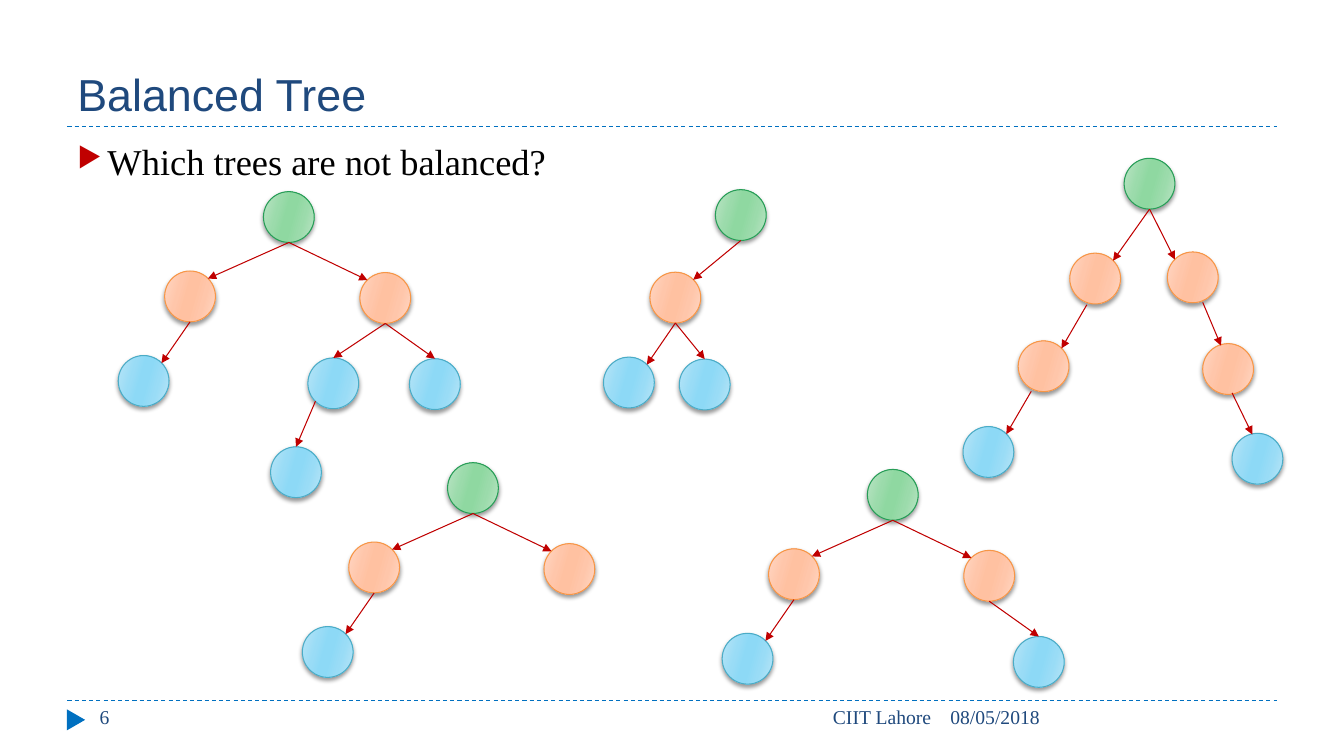
import dataclasses
import typing

import pptx
import pptx.dml.color
import pptx.enum.dml
import pptx.enum.shapes
import pptx.enum.text
import pptx.oxml
import pptx.oxml.ns
import pptx.shapes.autoshape
import pptx.shapes.connector
import pptx.slide
import pptx.util

Cm = pptx.util.Cm
Pt = pptx.util.Pt
Rgb = pptx.dml.color.RGBColor
Align = pptx.enum.text.PP_ALIGN
Anchor = pptx.enum.text.MSO_ANCHOR
Preset = pptx.enum.shapes.MSO_SHAPE
qn = pptx.oxml.ns.qn


class Tint(typing.NamedTuple):
    edge: str
    mid: str
    core: str
    line: str


@dataclasses.dataclass(frozen=True)
class Theme:
    root: Tint = Tint("BBE4C5", "9BDBAB", "8FD8A1", "279D57")
    inner: Tint = Tint("FFD7C5", "FFC6AA", "FFC1A1", "F79646")
    leaf: Tint = Tint("B9E5F7", "99DCF6", "8DD9F6", "4BACC6")
    navy: str = "1F497D"
    blue: str = "0070C0"
    red: str = "C00000"
    black: str = "000000"
    sans: str = "Arial"
    serif: str = "Times New Roman"
    title: float = 32
    body: float = 26
    foot: float = 14
    thin: float = 0.75


THEME = Theme()
SIZE = 1.28  # node width in cm


class Point(typing.NamedTuple):
    x: float
    y: float

    def shift(self, by: "Point") -> "Point":
        return Point(self.x + by.x, self.y + by.y)


# Arrow ends, measured from a node's top left corner
TOP = Point(SIZE / 2, 0)
BASE = Point(SIZE / 2, SIZE)
NEAR, FAR = 0.19, 1.09
TOP_LEFT = Point(NEAR, NEAR)
TOP_RIGHT = Point(FAR, NEAR)
LOW_LEFT = Point(NEAR, FAR)


class Node(typing.NamedTuple):
    """A child, placed from the root; parent is an index in the tree, 0 the root."""
    tint: Tint
    at: Point
    parent: int
    into: Point
    out: Point = BASE


class Tree(typing.NamedTuple):
    root: Point
    nodes: tuple[Node, ...]


INNER, LEAF = THEME.inner, THEME.leaf
CORE = (
    Node(INNER, Point(-2.49, 2), 0, TOP_RIGHT),
    Node(INNER, Point(2.43, 2.04), 0, TOP_LEFT),
    Node(LEAF, Point(-3.66, 4.13), 1, TOP_RIGHT),
)
RIGHT_LEAF = Node(LEAF, Point(3.68, 4.21), 2, TOP)

TREES = (
    Tree(Point(6.64, 4.83), CORE + (
        RIGHT_LEAF,
        Node(LEAF, Point(1.12, 4.19), 2, TOP),
        Node(LEAF, Point(0.18, 6.43), 5, TOP, LOW_LEFT),
    )),
    Tree(Point(18.03, 4.78), (
        Node(INNER, Point(-1.65, 2.08), 0, TOP_RIGHT),
        Node(LEAF, Point(-2.82, 4.22), 1, TOP_RIGHT),
        Node(LEAF, Point(-0.91, 4.27), 1, TOP),
    )),
    Tree(Point(21.86, 11.83), CORE + (RIGHT_LEAF,)),
    Tree(Point(11.28, 11.66), CORE),
    Tree(Point(28.33, 3.99), (
        Node(INNER, Point(-1.37, 2.39), 0, TOP_RIGHT),
        Node(INNER, Point(1.09, 2.36), 0, TOP_LEFT),
        Node(INNER, Point(-2.67, 4.6), 1, TOP_RIGHT, Point(0.43, 1.3)),
        Node(LEAF, Point(-4.06, 6.76), 3, TOP_RIGHT, Point(0.33, 1.27)),
        Node(INNER, Point(1.98, 4.67), 2, Point(0.46, 0.05), Point(0.89, 1.27)),
        Node(LEAF, Point(2.72, 6.93), 5, Point(0.51, 0.03), Point(0.74, 1.24)),
    )),
)


class Label(typing.NamedTuple):
    text: str
    box: tuple[float, float, float, float]
    size: float
    font: str = THEME.serif
    color: str = THEME.navy
    align: Align = Align.LEFT
    anchor: Anchor = Anchor.TOP
    bullet: bool = False


FOOT_TOP, FOOT_HIGH = 17.65, 1.02
LABELS = (
    Label("Balanced Tree", (1.7, 0.43, 30.48, 2.74), THEME.title, THEME.sans,
          anchor=Anchor.BOTTOM),
    Label("Which trees are not balanced?", (1.7, 3.38, 30.48, 13.72), THEME.body,
          color=THEME.black, bullet=True),
    Label("6", (2.26, FOOT_TOP, 7.34, FOOT_HIGH), THEME.foot),
    Label("CIIT Lahore", (10.74, FOOT_TOP, 12.98, FOOT_HIGH), THEME.foot,
          align=Align.RIGHT),
    Label("08/05/2018", (23.7, FOOT_TOP, 8.48, FOOT_HIGH), THEME.foot),
)


def make_xml(text: str):
    """Build an element from XML whose root tag ends in a {ns} mark."""
    return pptx.oxml.parse_xml(text.replace("{ns}", pptx.oxml.ns.nsdecls("a"), 1))


def add_label(slide: pptx.slide.Slide, label: Label) -> None:
    frame = slide.shapes.add_textbox(*map(Cm, label.box)).text_frame
    frame.word_wrap = True
    frame.vertical_anchor = label.anchor
    frame.text = label.text
    para = frame.paragraphs[0]
    para.alignment = label.align
    font = para.runs[0].font
    font.name, font.size = label.font, Pt(label.size)
    font.color.rgb = Rgb.from_string(label.color)
    if label.bullet:
        para.space_before = Pt(6)
        props = para._p.get_or_add_pPr()
        props.set("marL", str(Cm(0.76)))
        props.set("indent", str(Cm(-0.76)))
        for mark in (f'<a:buClr {{ns}}><a:srgbClr val="{THEME.red}"/></a:buClr>',
                     '<a:buSzPct {ns} val="76000"/>',
                     '<a:buChar {ns} char="▶"/>'):
            props.append(make_xml(mark))


def add_line(slide: pptx.slide.Slide, start: Point, end: Point,
             color: str) -> pptx.shapes.connector.Connector:
    line = slide.shapes.add_connector(
        pptx.enum.shapes.MSO_CONNECTOR.STRAIGHT, *map(Cm, start + end))
    line.line.color.rgb = Rgb.from_string(color)
    line.line.width = Pt(THEME.thin)
    line._element.spPr.append(make_xml("<a:effectLst {ns}/>"))
    return line


def add_node(slide: pptx.slide.Slide, at: Point, tint: Tint) -> None:
    node = slide.shapes.add_shape(Preset.OVAL, *map(Cm, (*at, SIZE, SIZE)))
    node.line.color.rgb = Rgb.from_string(tint.line)
    node.line.width = Pt(THEME.thin)
    node.shadow.inherit = False
    props = node._element.spPr
    stops = "".join(
        f'<a:gs pos="{place * 1000}"><a:srgbClr val="{color}"/></a:gs>'
        for place, color in ((0, tint.edge), (30, tint.mid), (45, tint.core),
                             (55, tint.core), (73, tint.mid), (100, tint.edge)))
    props.insert(2, make_xml(f'<a:gradFill {{ns}}><a:gsLst>{stops}</a:gsLst>'
                             '<a:lin ang="960000" scaled="0"/></a:gradFill>'))
    props.find(qn("a:effectLst")).append(make_xml(
        f'<a:outerShdw {{ns}} blurRad="{Pt(3)}" dist="{Pt(2)}" dir="5400000" '
        f'rotWithShape="0"><a:srgbClr val="{THEME.black}"><a:alpha val="40000"/>'
        '</a:srgbClr></a:outerShdw>'))


def add_tree(slide: pptx.slide.Slide, tree: Tree) -> None:
    spots = [tree.root] + [tree.root.shift(node.at) for node in tree.nodes]
    tints = [THEME.root] + [node.tint for node in tree.nodes]
    for spot, tint in zip(spots, tints):
        add_node(slide, spot, tint)
    for spot, node in zip(spots[1:], tree.nodes):
        arrow = add_line(slide, spots[node.parent].shift(node.out),
                         spot.shift(node.into), THEME.red)
        arrow._element.spPr.find(qn("a:ln")).append(
            make_xml('<a:tailEnd {ns} type="triangle"/>'))


def add_frame(slide: pptx.slide.Slide) -> None:
    """Draw the two dashed rules and the page marker."""
    for y in (17.65, 3.18):
        rule = add_line(slide, Point(1.7, y), Point(32.18, y), THEME.blue)
        rule.line.dash_style = pptx.enum.dml.MSO_LINE.DASH
    mark = slide.shapes.add_shape(
        Preset.ISOSCELES_TRIANGLE, *map(Cm, (1.65, 17.91, 0.53, 0.46)))
    mark.rotation = 90
    mark.shadow.inherit = False
    mark.fill.solid()
    mark.fill.fore_color.rgb = Rgb.from_string(THEME.blue)
    mark.line.fill.background()


def main() -> None:
    deck = pptx.Presentation()
    deck.slide_width, deck.slide_height = Cm(33.87), Cm(19.05)
    slide = deck.slides.add_slide(deck.slide_layouts[6])
    add_frame(slide)
    for label in LABELS:
        add_label(slide, label)
    for tree in TREES:
        add_tree(slide, tree)
    deck.save("out.pptx")


if __name__ == "__main__":
    main()
